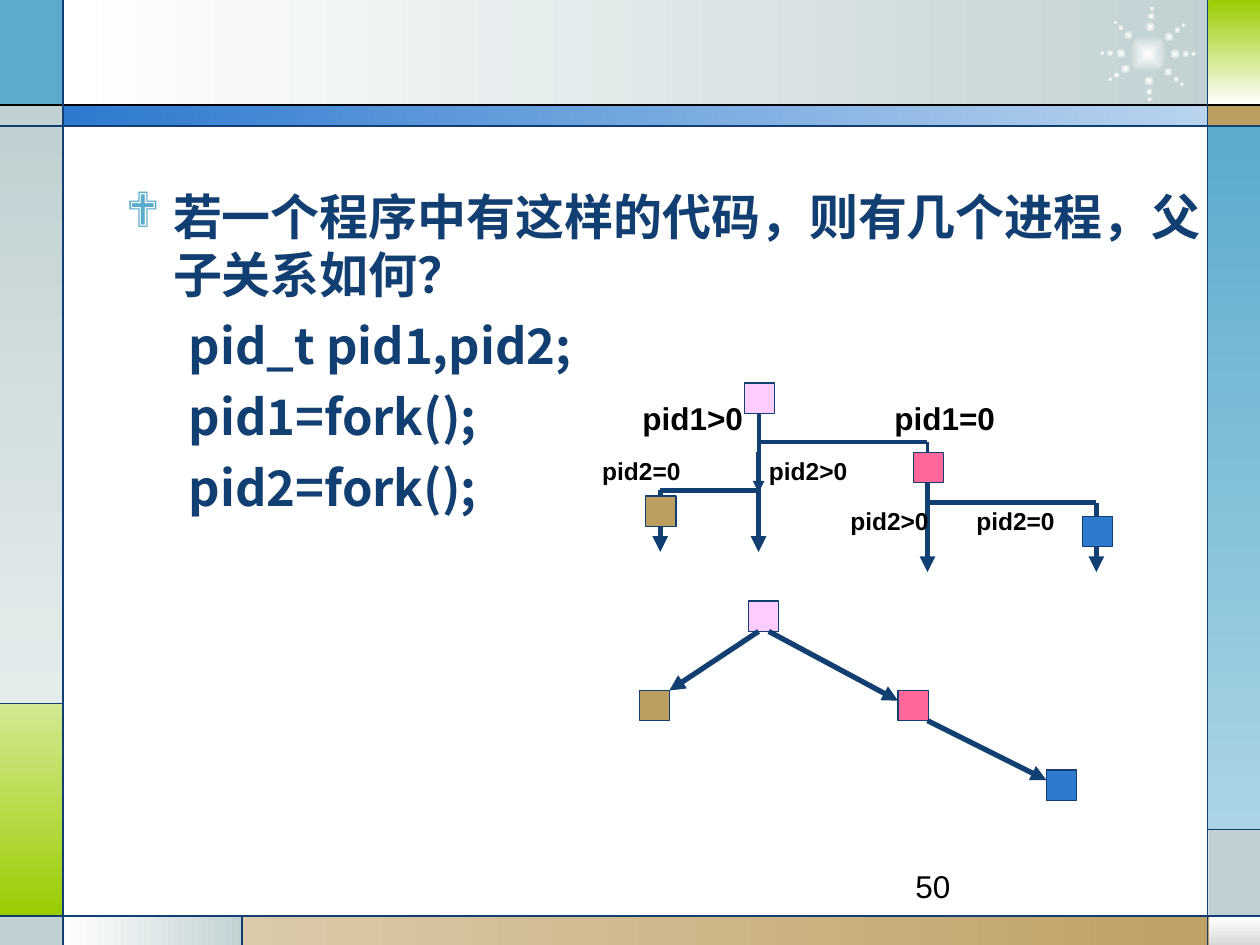
from dataclasses import dataclass
from math import cos, radians, sin

from lxml import etree
from pptx import Presentation
from pptx.dml.color import RGBColor
from pptx.enum.shapes import MSO_CONNECTOR, MSO_SHAPE
from pptx.oxml.ns import qn
from pptx.util import Pt

RECTANGLE = MSO_SHAPE.RECTANGLE
OVAL = MSO_SHAPE.OVAL
STRAIGHT = MSO_CONNECTOR.STRAIGHT


@dataclass(frozen=True)
class Theme:
    """Colours, fonts and sizes of the slide."""
    navy: str = "113F71"
    black: str = "000000"
    white: str = "FFFFFF"
    silver: str = "C1D1D3"
    mist: str = "E5ECEC"
    teal: str = "5AABCC"
    pale_teal: str = "AAD4E5"
    lime: str = "99CC00"
    pale_lime: str = "D4E993"
    tan: str = "BD9E61"
    pale_tan: str = "DBCAA9"
    blue: str = "2D7ACF"
    pale_blue: str = "B9D3EF"
    gray: str = "D8D8D8"
    pink: str = "FFCCFF"
    rose: str = "FF6699"
    label_font: str = "Arial"
    body_font: str = "Noto Sans CJK SC"
    body_size: float = 28
    large_size: float = 18
    small_size: float = 14
    thin: float = 0.75
    medium: float = 2.25
    thick: float = 3
    square: float = 17.3


THEME = Theme()
ACROSS, DOWN, CENTRE = 0, 270, None

PANELS = [
    (36, 0, 667.4, 60.5, (THEME.white, THEME.silver, ACROSS)),
    (0, 0, 36, 60.5, THEME.teal),
    (0, 60, 36, 12, THEME.silver),
    (0, 72, 36, 330, (THEME.silver, THEME.mist, DOWN)),
    (0, 402, 36, 122, (THEME.pale_lime, THEME.lime, DOWN)),
    (0, 524, 36, 16, THEME.silver),
    (36, 523.5, 103, 16.5, (THEME.white, THEME.silver, ACROSS)),
    (138.3, 523.5, 581.7, 16.5, (THEME.pale_tan, THEME.tan, ACROSS)),
    (691, 524, 29, 16, (THEME.white, THEME.gray, DOWN)),
    (690.5, 474, 29.5, 50, THEME.silver),
    (690, 72, 30, 402, (THEME.teal, THEME.pale_teal, DOWN)),
    (690, 60, 30, 12, THEME.tan),
    (690.5, 0, 29.5, 60, (THEME.lime, THEME.white, DOWN)),
    (36, 60, 654.5, 12, (THEME.blue, THEME.pale_blue, ACROSS)),
]
RULES = [
    (0, 60, 720, 60, THEME.black),
    (0, 72, 720, 72, THEME.navy),
    (0, 523.5, 720, 523.5, THEME.navy),
    (36, 0, 36, 540, THEME.navy),
    (690, 0, 690, 540, THEME.navy),
    (36, 402, 0, 402, THEME.navy),
    (138.3, 523.5, 138.3, 540, THEME.navy),
    (690, 474, 720, 474, THEME.navy),
]
STAR_CENTRE = (656, 30.8)
STAR_ANGLES = (0, 42, 88, 146, 181, 224, 275, 321)
STAR_DOTS = ((21.6, 3.6), (26, 2.5), (15.5, 5.2))
FORKS = [
    (433.5, 236.2, 252.7, 530, 281.5, THEME.medium, False),
    (530, 264.2, 287.3, 626.5, 326.9, THEME.thick, True),
    (433.5, 258.5, 280.1, 377.3, 315.4, THEME.thick, True),
]
LABELS = [
    (360, 224.6, 238.3, 28.8, "pid1>0\tpid1=0", THEME.large_size, 144),
    (478.8, 285.8, 147.6, 24.5, "pid2>0\tpid2=0", THEME.small_size, 72),
    (337, 257, 170, 24.5, "pid2=0\tpid2>0", THEME.small_size, 95.3),
]
SQUARES = [
    (425.5, 218.9, THEME.pink),
    (522, 258.5, THEME.rose),
    (618.5, 295, THEME.blue),
    (369, 283.5, THEME.tan),
    (427.7, 343.5, THEME.pink),
    (513.2, 394.5, THEME.rose),
    (365.5, 394.5, THEME.tan),
    (598, 440, THEME.blue),
]
TREE_ARROWS = [
    (433.5, 360.8, 382.5, 394.6),
    (439.3, 360.8, 513.2, 400.4),
    (530, 411.8, 598, 445.8),
]
QUESTION = "若一个程序中有这样的代码，则有几个进程，父子关系如何？"
CODE = ("pid_t pid1,pid2;", "pid1=fork();", "pid2=fork();")


def apply_format(target, values):
    """Set every attribute named in values on target."""
    for name, value in values.items():
        setattr(target, name, value)


def add_child(parent, tag, **attributes):
    """Append an XML element and return it."""
    return etree.SubElement(parent, qn(tag), attributes)


def paint(shape, fill):
    """Fill a shape with a colour or with a (start, end, angle) gradient."""
    if isinstance(fill, str):
        shape.fill.solid()
        shape.fill.fore_color.rgb = RGBColor.from_string(fill)
        return
    start, end, angle = fill
    shape.fill.gradient()
    for stop, color in zip(shape.fill.gradient_stops, (start, end)):
        stop.color.rgb = RGBColor.from_string(color)
    if angle is not CENTRE:
        shape.fill.gradient_angle = angle
        return
    gradient = shape.element.spPr.find(qn("a:gradFill"))
    gradient.remove(gradient.find(qn("a:lin")))
    radial = add_child(gradient, "a:path", path="rect")
    add_child(radial, "a:fillToRect", **dict.fromkeys("ltrb", "50000"))


def add_block(slide, kind, left, top, width, height, fill, outline=None):
    """Add a preset shape with an optional thin outline."""
    shape = slide.shapes.add_shape(kind, Pt(left), Pt(top), Pt(width), Pt(height))
    shape.shadow.inherit = False
    paint(shape, fill)
    if outline:
        shape.line.color.rgb = RGBColor.from_string(outline)
        shape.line.width = Pt(THEME.thin)
    else:
        shape.line.fill.background()
    return shape


def add_line(slide, x1, y1, x2, y2, color, width, arrow=False):
    """Add a straight connector, with an arrowhead at its end if asked."""
    connector = slide.shapes.add_connector(STRAIGHT, Pt(x1), Pt(y1), Pt(x2), Pt(y2))
    connector.line.color.rgb = RGBColor.from_string(color)
    connector.line.width = Pt(width)
    if arrow:
        add_child(connector.line._get_or_add_ln(), "a:tailEnd", type="triangle")
    add_child(connector.element.spPr, "a:effectLst")


def add_fork(slide, stem, top, bar, branch, bottom, width, branch_arrow):
    """Add a process line that splits into a stem and a branch."""
    add_line(slide, stem, bar, branch, bar, THEME.navy, width)
    add_line(slide, stem, top, stem, bottom, THEME.navy, width, True)
    add_line(slide, branch, bar, branch, bottom, THEME.navy, width, branch_arrow)


def add_star(slide):
    """Add the ring of dots around a glowing centre."""
    glow = (THEME.white, THEME.silver, CENTRE)
    dots = [(0, 0, 21.6)] + [(angle, *dot) for angle in STAR_ANGLES for dot in STAR_DOTS]
    for angle, radius, size in dots:
        x = STAR_CENTRE[0] + radius * cos(radians(angle)) - size / 2
        y = STAR_CENTRE[1] + radius * sin(radians(angle)) - size / 2
        dot = add_block(slide, OVAL, x, y, size, size, glow)
        dot.rotation = (angle - 37) % 360 if radius else 2.5


def add_text_frame(slide, left, top, width, height):
    """Add a wrapping text box and return its text frame."""
    box = slide.shapes.add_textbox(Pt(left), Pt(top), Pt(width), Pt(height))
    box.text_frame.word_wrap = True
    return box.text_frame


def format_font(font, name, size, color, bold):
    """Set the face, size, weight and colour of a font."""
    apply_format(font, {"name": name, "size": Pt(size), "bold": bold})
    font.color.rgb = RGBColor.from_string(color)


def add_label(slide, left, top, width, height, text, size, tab=None, bold=True):
    """Add one line of text with an optional tab stop."""
    paragraph = add_text_frame(slide, left, top, width, height).paragraphs[0]
    if tab:
        tabs = add_child(paragraph._p.get_or_add_pPr(), "a:tabLst")
        add_child(tabs, "a:tab", pos=str(Pt(tab)), algn="l")
    run = paragraph.add_run()
    run.text = text
    format_font(run.font, THEME.label_font, size, THEME.black, bold)


def add_body(slide):
    """Add the bulleted question and the code lines under it."""
    frame = add_text_frame(slide, 64.8, 100, 631.5, 387.5)
    frame.margin_top = Pt(6.6)
    for index, text in enumerate((QUESTION, *CODE)):
        paragraph = frame.paragraphs[0] if index == 0 else frame.add_paragraph()
        margin, indent = (58.5, -22.5) if index else (27, -27)
        properties = paragraph._p.get_or_add_pPr()
        properties.set("marL", str(Pt(margin)))
        properties.set("indent", str(Pt(indent)))
        if index:
            add_child(properties, "a:buNone")
            apply_format(paragraph, {"level": 1, "space_before": Pt(7)})
        else:
            add_child(add_child(properties, "a:buClr"), "a:srgbClr", val=THEME.teal)
            add_child(properties, "a:buFont", typeface="Wingdings")
            add_child(properties, "a:buChar", char="❖")
        paragraph.line_spacing = Pt(33.5)
        run = paragraph.add_run()
        run.text = text
        format_font(run.font, THEME.body_font, THEME.body_size, THEME.navy, True)
        add_child(run._r.get_or_add_rPr(), "a:ea", typeface=THEME.body_font)


def main():
    """Build the slide and save it."""
    presentation = Presentation()
    apply_format(presentation, {"slide_width": Pt(720), "slide_height": Pt(540)})
    slide = presentation.slides.add_slide(presentation.slide_layouts[6])
    for panel in PANELS:
        add_block(slide, RECTANGLE, *panel)
    add_star(slide)
    for rule in RULES:
        add_line(slide, *rule, THEME.thin)
    add_label(slide, 516, 492, 168, 37.5, "50", THEME.large_size, bold=False)
    add_body(slide)
    for fork in FORKS:
        add_fork(slide, *fork)
    for label in LABELS:
        add_label(slide, *label)
    for left, top, color in SQUARES:
        add_block(slide, RECTANGLE, left, top, THEME.square, THEME.square, color, THEME.navy)
    for arrow in TREE_ARROWS:
        add_line(slide, *arrow, THEME.navy, THEME.thick, True)
    presentation.save("out.pptx")


if __name__ == "__main__":
    main()
